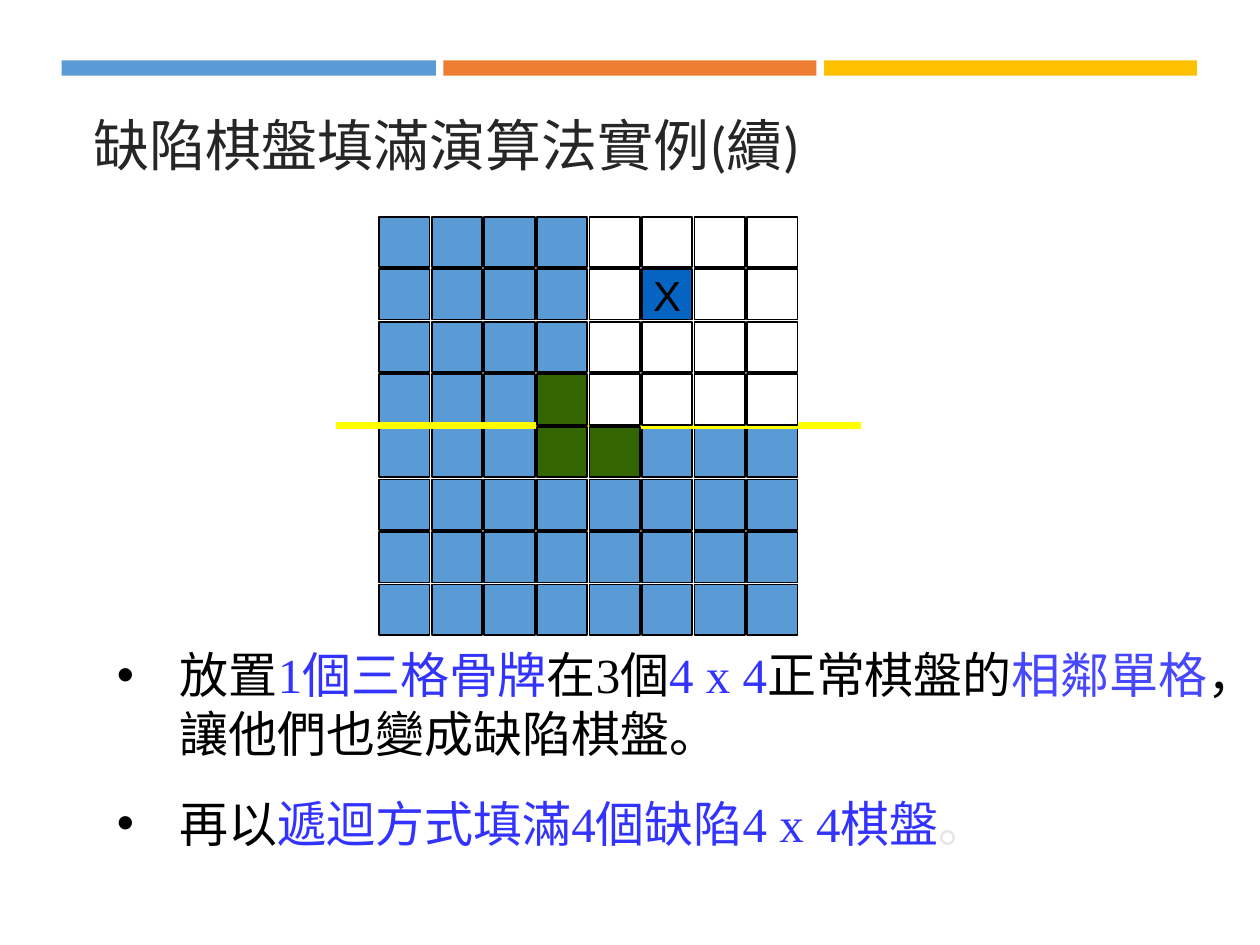
from dataclasses import dataclass

from lxml import etree
from pptx import Presentation
from pptx.dml.color import RGBColor
from pptx.enum.shapes import MSO_CONNECTOR, MSO_SHAPE
from pptx.enum.text import MSO_ANCHOR, PP_ALIGN
from pptx.oxml.ns import qn
from pptx.util import Inches, Pt

RECT = MSO_SHAPE.RECTANGLE
STRAIGHT = MSO_CONNECTOR.STRAIGHT
MIDDLE = MSO_ANCHOR.MIDDLE
CENTER = PP_ALIGN.CENTER

BLACK = RGBColor(0x00, 0x00, 0x00)
WHITE = RGBColor(0xFF, 0xFF, 0xFF)
SKY = RGBColor(0x5B, 0x9B, 0xD5)
ORANGE = RGBColor(0xED, 0x7D, 0x31)
GOLD = RGBColor(0xFF, 0xC0, 0x00)
NAVY = RGBColor(0x05, 0x63, 0xC1)
GREEN = RGBColor(0x33, 0x66, 0x00)
YELLOW = RGBColor(0xFF, 0xFF, 0x00)
INK = RGBColor(0x26, 0x26, 0x26)
BLUE = RGBColor(0x33, 0x33, 0xFF)
PALE = RGBColor(0x47, 0x47, 0xFF)
GRAY = RGBColor(0xE7, 0xE6, 0xE6)

HEAD = {"name": "Calibri", "size": Pt(32)}
BODY = {"name": "Times New Roman", "size": Pt(28)}
MARK = {"name": "Arial", "size": Pt(24)}

BOARD = (
    "BBBBWWWW",
    "BBBBWXWW",
    "BBBBWWWW",
    "BBBGWWWW",
    "BBBGGBBB",
    "BBBBBBBB",
    "BBBBBBBB",
    "BBBBBBBB",
)
FILLS = {"B": SKY, "W": WHITE, "X": NAVY, "G": GREEN}
LEFT, TOP, SIDE = 3.01, 1.72, 0.4
STEP = 2.92 / 7


@dataclass
class Box:
    left: float
    top: float
    width: float
    height: float

    def place(self) -> list:
        return [Inches(v) for v in (self.left, self.top, self.width, self.height)]


@dataclass
class Bullet:
    box: Box
    words: list


BARS = [
    (Box(0.49, 0.48, 2.97, 0.12), SKY),
    (Box(3.52, 0.48, 2.96, 0.12), ORANGE),
    (Box(6.54, 0.48, 2.96, 0.12), GOLD),
]
BULLETS = [
    Bullet(Box(0.83, 5.07, 8.92, 1.04), [
        ("放置", BLACK), ("1個三格骨牌", BLUE), ("在3個", BLACK),
        ("4 x 4", BLUE), ("正常棋盤的", BLACK), ("相鄰單格", PALE),
        ("，讓他們也變成缺陷棋盤。", BLACK),
    ]),
    Bullet(Box(0.83, 6.25, 8.92, 0.57), [
        ("再以", BLACK), ("遞迴方式填滿4個缺陷4 x 4棋盤", BLUE), ("。", GRAY),
    ]),
]


def add_rect(shapes, box: Box, fill: RGBColor, edge: RGBColor | None = None):
    rect = shapes.add_shape(RECT, *box.place())
    rect.shadow.inherit = False
    rect.fill.solid()
    rect.fill.fore_color.rgb = fill
    if edge is None:
        rect.line.fill.background()
    else:
        rect.line.color.rgb = edge
        rect.line.width = Pt(1)
    return rect


def add_run(para, text: str, style: dict, color: RGBColor) -> None:
    run = para.add_run()
    run.text = text
    for key, value in style.items():
        setattr(run.font, key, value)
    run.font.color.rgb = color


def add_cells(slide, kinds: str) -> None:
    group = slide.shapes.add_group_shape()
    for row, line in enumerate(BOARD):
        for col, kind in enumerate(line):
            if kind not in kinds:
                continue
            box = Box(LEFT + col * STEP, TOP + row * STEP, SIDE, SIDE)
            cell = add_rect(group.shapes, box, FILLS[kind], BLACK)
            if kind == "X":
                frame = cell.text_frame
                frame.word_wrap = False
                frame.vertical_anchor = MIDDLE
                frame.paragraphs[0].alignment = CENTER
                add_run(frame.paragraphs[0], "X", MARK, BLACK)


def add_rule(slide) -> None:
    ends = [Inches(v) for v in (2.67, 3.38, 6.83, 3.38)]
    rule = slide.shapes.add_connector(STRAIGHT, *ends)
    rule.line.color.rgb = YELLOW
    rule.line.width = Pt(4)
    etree.SubElement(rule._element.spPr, qn("a:effectLst"))


def add_text(slide, box: Box):
    frame = slide.shapes.add_textbox(*box.place()).text_frame
    frame.word_wrap = True
    return frame


def add_bullet(slide, item: Bullet) -> None:
    para = add_text(slide, item.box).paragraphs[0]
    props = para._p.get_or_add_pPr()
    props.set("marL", str(Inches(0.5)))
    props.set("indent", str(Inches(-0.5)))
    etree.SubElement(props, qn("a:buFont"), typeface="Arial")
    etree.SubElement(props, qn("a:buChar"), char="•")
    for text, color in item.words:
        add_run(para, text, BODY, color)


def main() -> None:
    deck = Presentation()
    deck.slide_width, deck.slide_height = Inches(10), Inches(7.5)
    slide = deck.slides.add_slide(deck.slide_layouts[6])
    for box, fill in BARS:
        add_rect(slide.shapes, box, fill)
    title = add_text(slide, Box(0.64, 0.75, 8.74, 0.79))
    title.vertical_anchor = MIDDLE
    add_run(title.paragraphs[0], "缺陷棋盤填滿演算法實例(續)", HEAD, INK)
    add_cells(slide, "B")
    add_rule(slide)
    add_cells(slide, "WX")
    add_cells(slide, "G")
    for item in BULLETS:
        add_bullet(slide, item)
    deck.save("out.pptx")


if __name__ == "__main__":
    main()
